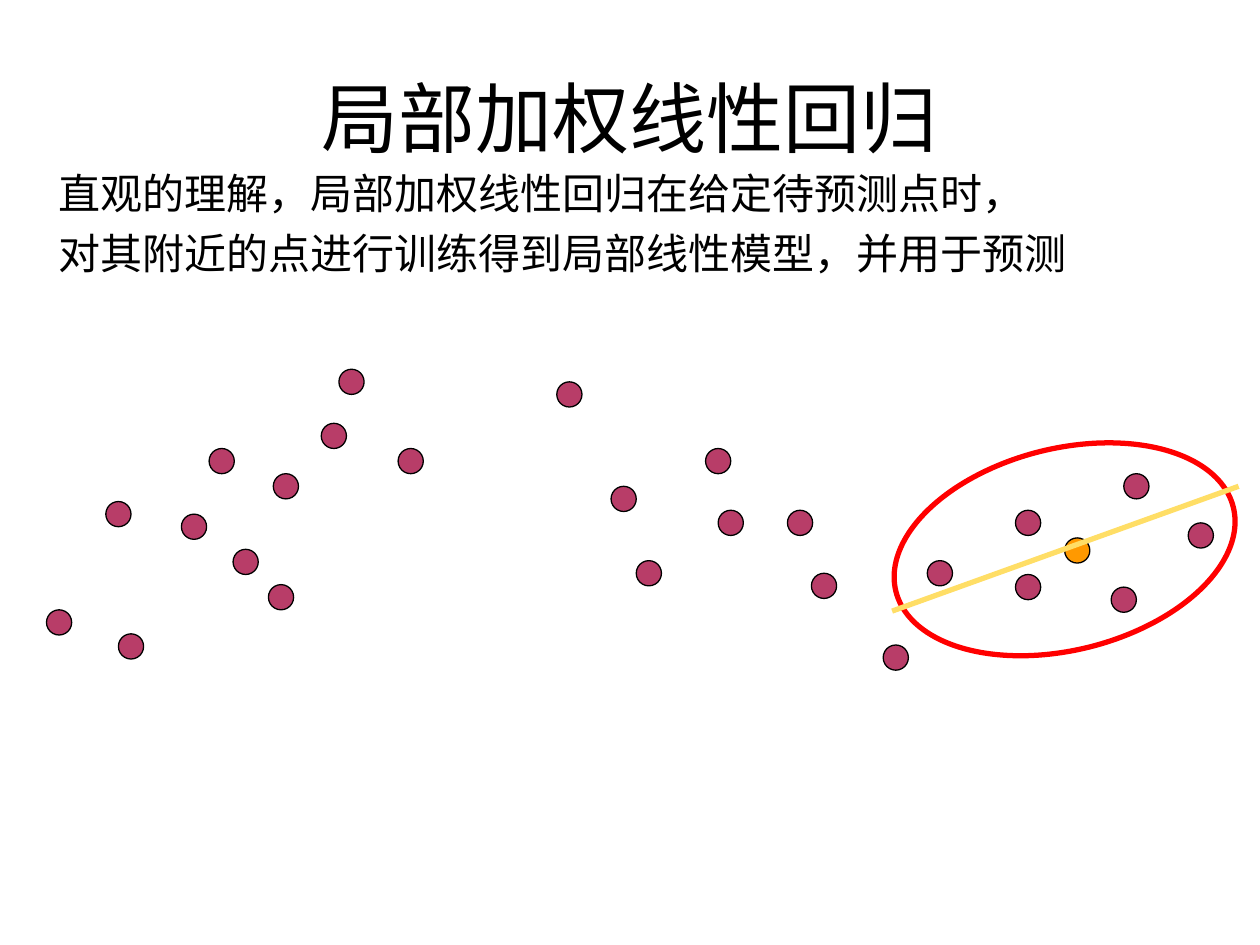
from pptx import Presentation
from pptx.dml.color import RGBColor
from pptx.enum.shapes import MSO_CONNECTOR, MSO_SHAPE
from pptx.enum.text import MSO_ANCHOR, PP_ALIGN
from pptx.oxml.ns import qn
from pptx.util import Pt
from lxml import etree

COLORS = {
    "text": "000000",
    "sample": "B83D68",
    "query": "FF9900",
    "outline": "000000",
    "neighborhood": "FF0000",
    "fit": "FFDE66",
}
DOT_SIZE = 14.4

# Left and top of each sample dot, from left to right
SAMPLES = [
    (26.6, 348.5), (60.5, 286.6), (67.7, 362.2), (103.7, 293.8),
    (119.5, 256.3), (133.2, 313.9), (153.4, 334.1), (156.2, 270.7),
    (183.6, 241.9), (193.7, 211), (227.5, 256.3), (318.2, 218.2),
    (349.2, 277.9), (363.6, 320.4), (403.2, 256.3), (410.4, 291.6),
    (450, 291.6), (463.7, 327.6), (504.7, 368.6), (529.9, 320.4),
    (580.3, 291.6), (580.3, 328.3), (635, 335.5), (642.2, 270.7),
    (679, 298.8),
]
QUERY = (608.4, 307.4)


class SlideBuilder:
    def __init__(self, slide):
        self.slide = slide

    def color(self, name):
        return RGBColor.from_string(COLORS[name])

    def text(self, box, lines, font, size, align=PP_ALIGN.LEFT,
             anchor=MSO_ANCHOR.TOP, wrap=True, spacing=1.0):
        frame = self.slide.shapes.add_textbox(*map(Pt, box)).text_frame
        frame.word_wrap = wrap
        frame.vertical_anchor = anchor
        for index, line in enumerate(lines):
            paragraph = frame.add_paragraph() if index else frame.paragraphs[0]
            paragraph.alignment = align
            paragraph.line_spacing = spacing
            run = paragraph.add_run()
            run.text = line
            run.font.name = font
            run.font.size = Pt(size)
            run.font.color.rgb = self.color("text")

    def ellipse(self, box, line, width, fill=None, rotation=0):
        oval = self.slide.shapes.add_shape(MSO_SHAPE.OVAL, *map(Pt, box))
        oval.shadow.inherit = False
        oval.rotation = rotation
        if fill:
            oval.fill.solid()
            oval.fill.fore_color.rgb = self.color(fill)
        else:
            oval.fill.background()
        oval.line.color.rgb = self.color(line)
        oval.line.width = Pt(width)

    def dot(self, position, fill):
        self.ellipse((*position, DOT_SIZE, DOT_SIZE), "outline", 0.75, fill)

    def line(self, start, end, color, width):
        connector = self.slide.shapes.add_connector(
            MSO_CONNECTOR.STRAIGHT, *map(Pt, (*start, *end)))
        connector.line.color.rgb = self.color(color)
        connector.line.width = Pt(width)
        etree.SubElement(connector._element.spPr, qn("a:effectLst"))


def main():
    presentation = Presentation()
    presentation.slide_width, presentation.slide_height = Pt(720), Pt(540)
    builder = SlideBuilder(
        presentation.slides.add_slide(presentation.slide_layouts[6]))

    # Title
    builder.text((36, 21.6, 648, 90), ["局部加权线性回归"], "Calibri", 44,
                 align=PP_ALIGN.CENTER, anchor=MSO_ANCHOR.MIDDLE)

    # Training samples and the point to predict
    for position in SAMPLES:
        builder.dot(position, "sample")
    builder.dot(QUERY, "query")

    # Neighborhood and its local linear fit
    builder.ellipse((509, 256.3, 198.7, 115.2), "neighborhood", 3, rotation=346)
    builder.line((509.8, 349.2), (707.8, 277.9), "fit", 3)

    # Explanation
    builder.text((26.6, 86.4, 590.4, 76.3),
                 ["直观的理解，局部加权线性回归在给定待预测点时，",
                  "对其附近的点进行训练得到局部线性模型，并用于预测"],
                 "Arial", 24, wrap=False, spacing=1.2)

    presentation.save("out.pptx")


if __name__ == "__main__":
    main()
